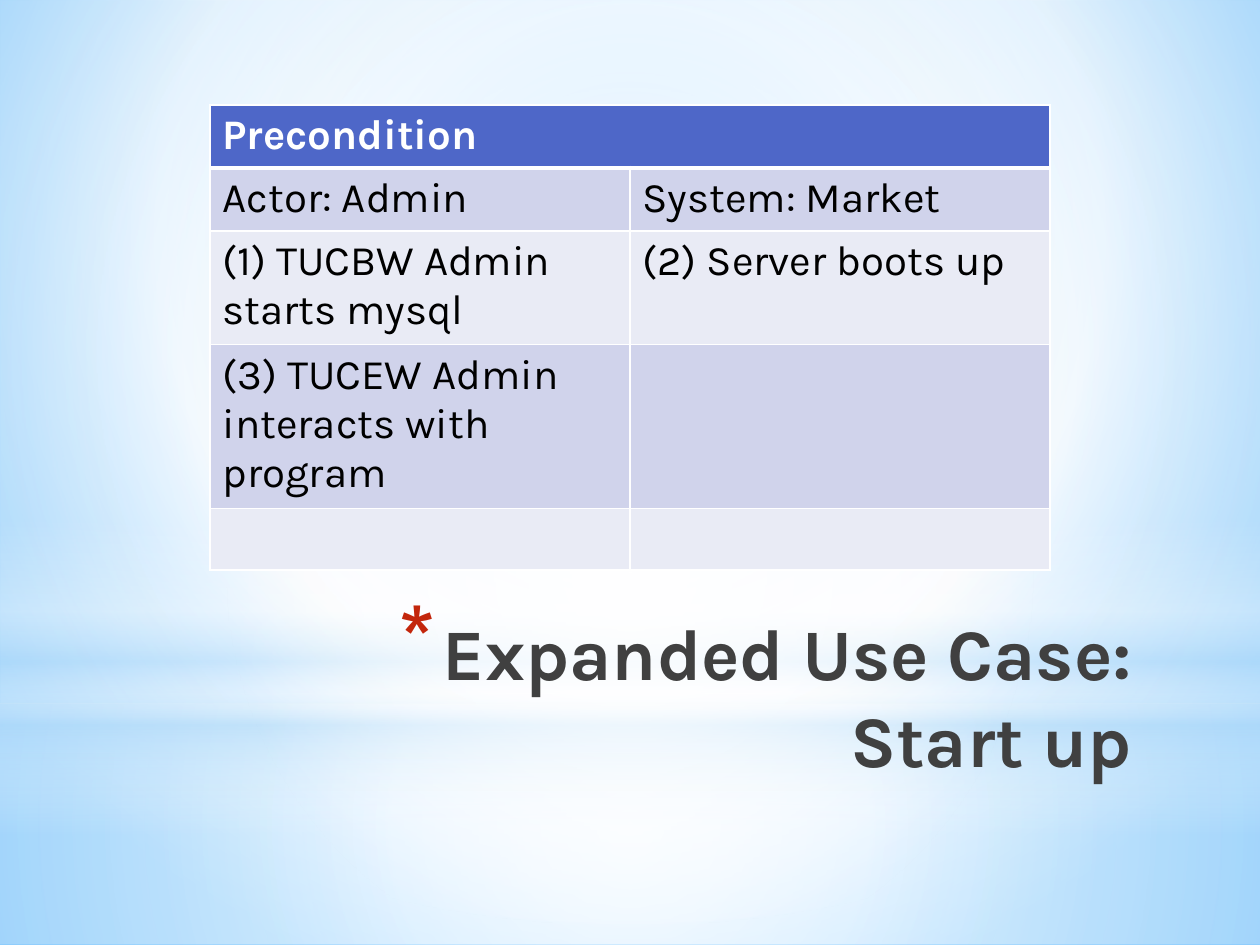
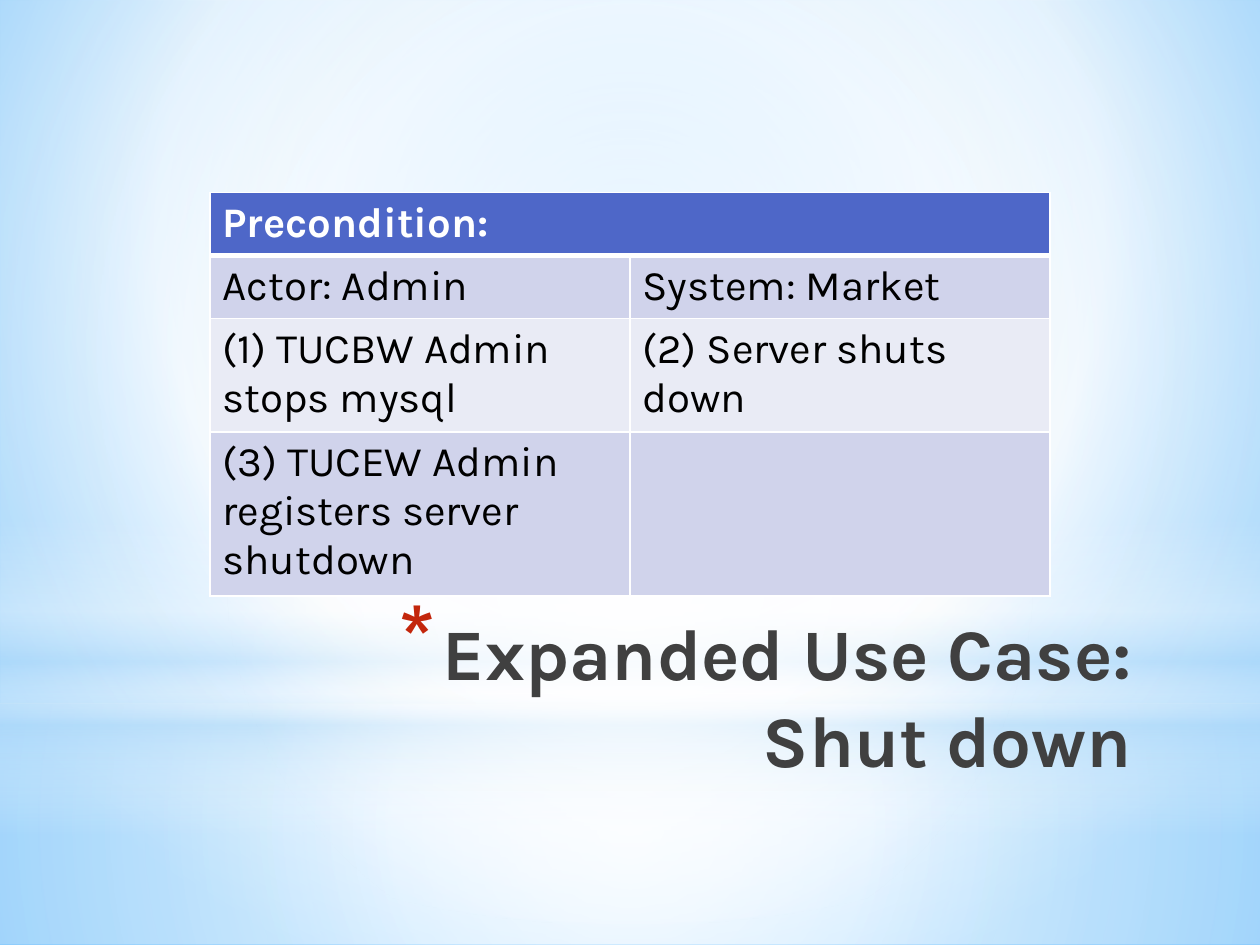
from lxml import etree
from pptx import Presentation
from pptx.dml.color import RGBColor
from pptx.enum.shapes import MSO_SHAPE
from pptx.enum.text import MSO_ANCHOR, PP_ALIGN
from pptx.oxml.ns import qn
from pptx.util import Pt

USE_CASES = [
    {"title": "Expanded Use Case: Start up", "top": 60,
     "rows": [("Precondition",),
              ("Actor: Admin", "System: Market"),
              ("(1) TUCBW Admin starts mysql", "(2) Server boots up"),
              ("(3) TUCEW Admin interacts with program", ""),
              ("", "")]},
    {"title": "Expanded Use Case: Shut down", "top": 110,
     "rows": [("Precondition:",),
              ("Actor: Admin", "System: Market"),
              ("(1) TUCBW Admin stops mysql", "(2) Server shuts down"),
              ("(3) TUCEW Admin registers server shutdown", "")]},
]
ROW_LINES = [1, 1, 2, 3, 1]

FONT = "Karla"
HEADER, BANDS = "4E67C8", ("E9EBF5", "D0D3EB")
WHITE, BLACK, TITLE, BULLET = "FFFFFF", "000000", "404040", "C3260C"
SKY = "B4DCFA"
TABLE_LEFT, COL_WIDTH, LINE_HEIGHT, CELL_PAD = 120, 240, 28.1, 7.2

# Gradient stops are (position %, colour, opacity %); centre is left, top, right, bottom.
CENTRE = (50, 50, 50, 50)
BACKGROUND = ([(0, "9ED5FF", 100), (60, WHITE, 100), (100, "5BB9FF", 100)], (20, 10, 20, 60))
GLOWS = [
    (MSO_SHAPE.RECTANGLE, 402, 138, [(0, WHITE, 91), (37, WHITE, 76), (100, SKY, 79)], CENTRE),
    (MSO_SHAPE.RECTANGLE, 0, 402, [(0, WHITE, 89), (48, WHITE, 62), (100, SKY, 79)], CENTRE),
    (MSO_SHAPE.RECTANGLE, 297, 180, [(0, WHITE, 0), (29, WHITE, 30), (45, SKY, 40),
                                     (55, WHITE, 26), (65, SKY, 60), (100, WHITE, 0)], None),
    (MSO_SHAPE.OVAL, 126, 402, [(0, WHITE, 100), (56, WHITE, 0)], CENTRE),
]


def rgb(value):
    return RGBColor.from_string(value)


def add(parent, tag, **attrs):
    """Append a DrawingML child element."""
    return etree.SubElement(parent, qn(tag), {k: str(v) for k, v in attrs.items()})


def style(font, **values):
    for name, value in values.items():
        setattr(font, name, value)


def gradient(owner, fill, stops, centre):
    """Fill with a circular gradient, or a vertical one when centre is None."""
    fill.solid()
    solid = next(owner.element.iter(qn("a:solidFill")))
    grad = etree.Element(qn("a:gradFill"), rotWithShape="1")
    stop_list = add(grad, "a:gsLst")
    for position, colour, opacity in stops:
        stop = add(stop_list, "a:gs", pos=position * 1000)
        clr = add(stop, "a:srgbClr", val=colour)
        if opacity < 100:
            add(clr, "a:alpha", val=opacity * 1000)
    if centre:
        path = add(grad, "a:path", path="circle")
        add(path, "a:fillToRect", **{side: v * 1000 for side, v in zip("ltrb", centre)})
    else:
        add(grad, "a:lin", ang=5400000, scaled=0)
    solid.getparent().replace(solid, grad)


def add_backdrop(s):
    gradient(s, s.background.fill, *BACKGROUND)
    for kind, top, height, stops, centre in GLOWS:
        sp = s.shapes.add_shape(kind, 0, Pt(top), Pt(720), Pt(height))
        sp.shadow.inherit = False
        gradient(sp, sp.fill, stops, centre)
        sp.line.fill.background()


def add_title(s, text):
    tf = s.shapes.add_textbox(Pt(141), Pt(344), Pt(513), Pt(90)).text_frame
    tf.word_wrap = True
    tf.vertical_anchor = MSO_ANCHOR.TOP
    p = tf.paragraphs[0]
    p.alignment = PP_ALIGN.RIGHT
    pPr = p._p.get_or_add_pPr()
    pPr.set("marL", str(Pt(25)))
    pPr.set("indent", str(-Pt(25)))
    add(add(pPr, "a:buClr"), "a:srgbClr", val=BULLET)
    add(pPr, "a:buSzPct", val=128000)
    add(pPr, "a:buChar", char="*")
    r = p.add_run()
    r.text = text
    style(r.font, name=FONT, size=Pt(41.4), bold=True)
    r.font.color.rgb = rgb(TITLE)


def add_borders(cell, **widths):
    tcPr = cell._tc.get_or_add_tcPr()
    for side in "LRTB":
        ln = add(tcPr, f"a:ln{side}", w=Pt(widths.get(side, 1)))
        add(add(ln, "a:solidFill"), "a:srgbClr", val=WHITE)


def add_steps(s, rows, top):
    heights = [n * LINE_HEIGHT + CELL_PAD for n in ROW_LINES[:len(rows)]]
    table = s.shapes.add_table(len(rows), 2, Pt(TABLE_LEFT), Pt(top),
                               Pt(2 * COL_WIDTH), Pt(sum(heights))).table
    table.first_row = table.horz_banding = False
    for column in table.columns:
        column.width = Pt(COL_WIDTH)
    table.cell(0, 0).merge(table.cell(0, 1))
    for i, texts in enumerate(rows):
        table.rows[i].height = Pt(heights[i])
        for j in range(2):
            cell = table.cell(i, j)
            add_borders(cell, **{0: {"B": 3}, 1: {"T": 3}}.get(i, {}))
            cell.fill.solid()
            cell.fill.fore_color.rgb = rgb(BANDS[i % 2] if i else HEADER)
            if j < len(texts) and texts[j]:
                r = cell.text_frame.paragraphs[0].add_run()
                r.text = texts[j]
                style(r.font, name=FONT, size=Pt(24), bold=i == 0)
                r.font.color.rgb = rgb(BLACK if i else WHITE)


def main():
    prs = Presentation()
    prs.slide_width, prs.slide_height = Pt(720), Pt(540)
    for case in USE_CASES:
        s = prs.slides.add_slide(prs.slide_layouts[6])
        add_backdrop(s)
        add_title(s, case["title"])
        add_steps(s, case["rows"], case["top"])
    prs.save("out.pptx")


if __name__ == "__main__":
    main()
